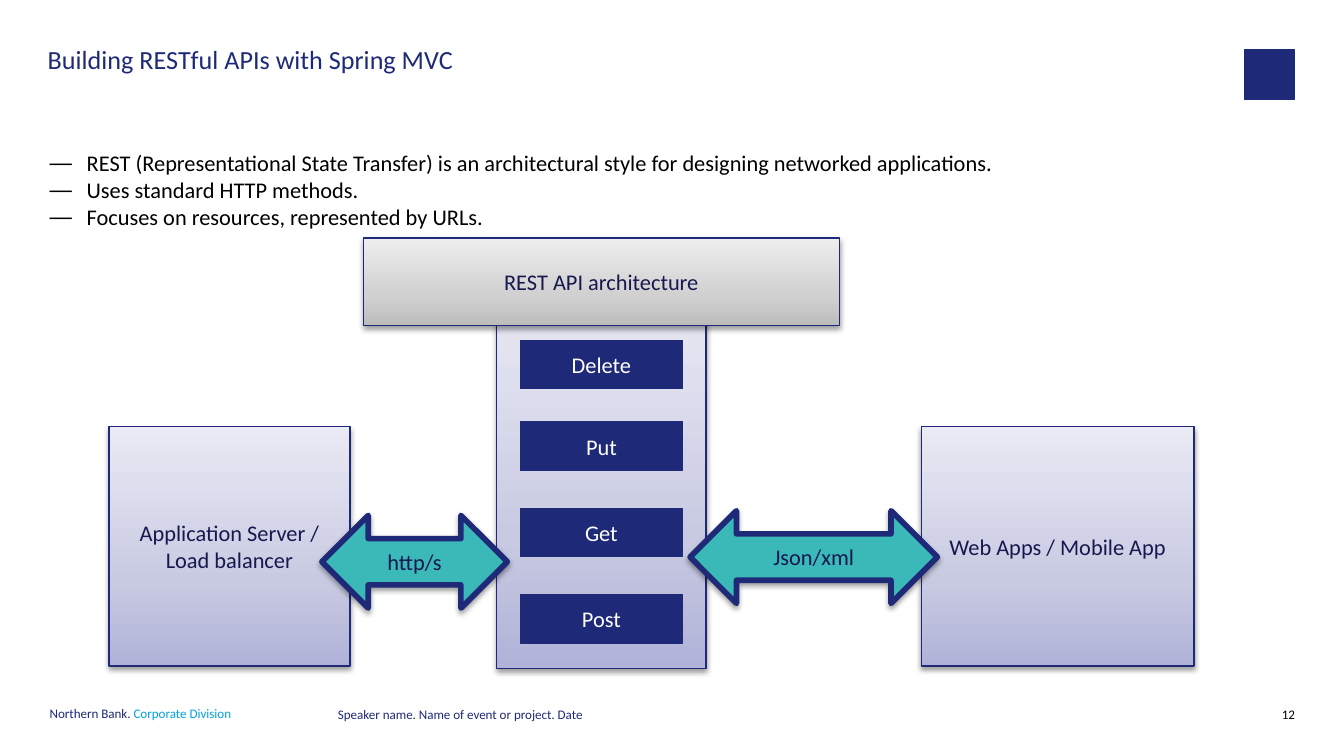
from dataclasses import dataclass

from lxml.etree import SubElement
from pptx import Presentation
from pptx.dml.color import RGBColor
from pptx.enum.shapes import MSO_SHAPE
from pptx.enum.text import MSO_ANCHOR, PP_ALIGN
from pptx.oxml.ns import qn
from pptx.util import Emu, Pt

PX = 4572  # 200 px to the inch
NAVY, INK, TEAL, CYAN = "1E2A78", "16184E", "3BB8B8", "00A3E0"
BLACK, WHITE = "000000", "FFFFFF"
LILAC = ("B0B2D8", "C8CAE2", "EAEAF5")
GREY = ("BDBDBD", "D1D1D1", "EEEEEE")
STOPS = (0, 35, 100)


@dataclass
class Block:
    x: int
    y: int
    w: int
    h: int
    text: str = ""
    fill: str | tuple = LILAC
    color: str = INK
    line: float = 0.75
    shadow: bool = True
    kind: MSO_SHAPE = MSO_SHAPE.RECTANGLE


@dataclass
class Label:
    x: int
    y: int
    w: int
    h: int
    paragraphs: list  # each paragraph is a list of (text, colour) runs
    size: int = 7
    spacing: object = Pt(8)
    align: PP_ALIGN = PP_ALIGN.LEFT
    bullet: str = ""


def px(*values: int) -> list:
    return [Emu(v * PX) for v in values]


def rgb(value: str) -> RGBColor:
    return RGBColor.from_string(value)


def apply(target, values: dict) -> None:
    for name, value in values.items():
        setattr(target, name, value)


def add_run(p, text: str, size: int, color: str) -> None:
    r = p.add_run()
    r.text = text
    apply(r.font, {"size": Pt(size), "name": "Calibri"})
    r.font.color.rgb = rgb(color)


def add_color(parent, value: str):
    return SubElement(parent, qn("a:srgbClr"), val=value)


def set_gradient(sp, colors: tuple) -> None:
    sp.fill.gradient()
    grad = sp._element.spPr.find(qn("a:gradFill"))
    for child in list(grad):
        grad.remove(child)
    stops = SubElement(grad, qn("a:gsLst"))
    for pos, color in zip(STOPS, colors):
        add_color(SubElement(stops, qn("a:gs"), pos=str(pos * 1000)), color)
    SubElement(grad, qn("a:lin"), ang=str(270 * 60000), scaled="0")


def add_shadow(sp) -> None:
    effects = sp._element.spPr.find(qn("a:effectLst"))
    outer = SubElement(effects, qn("a:outerShdw"), blurRad=str(Pt(3.1)),
                       dist=str(Pt(1.6)), dir=str(90 * 60000), rotWithShape="0")
    SubElement(add_color(outer, BLACK), qn("a:alpha"), val="38000")


def add_block(s, b: Block) -> None:
    sp = s.shapes.add_shape(b.kind, *px(b.x, b.y, b.w, b.h))
    if isinstance(b.fill, tuple):
        set_gradient(sp, b.fill)
    else:
        sp.fill.solid()
        sp.fill.fore_color.rgb = rgb(b.fill)
    sp.line.color.rgb = rgb(NAVY)
    sp.line.width = Pt(b.line)
    sp.shadow.inherit = False
    if b.shadow:
        add_shadow(sp)
    if b.text:
        tf = sp.text_frame
        side, edge = px(22, 12)
        apply(tf, {"margin_left": side, "margin_right": side, "margin_top": edge,
                   "margin_bottom": edge, "word_wrap": True,
                   "vertical_anchor": MSO_ANCHOR.MIDDLE})
        p = tf.paragraphs[0]
        p.alignment = PP_ALIGN.CENTER
        add_run(p, b.text, 12, b.color)


def add_label(s, label: Label) -> None:
    tf = s.shapes.add_textbox(*px(label.x, label.y, label.w, label.h)).text_frame
    apply(tf, {"margin_left": 0, "margin_right": 0, "margin_top": 0,
               "margin_bottom": 0, "word_wrap": True})
    for i, runs in enumerate(label.paragraphs):
        p = tf.add_paragraph() if i else tf.paragraphs[0]
        apply(p, {"alignment": label.align, "line_spacing": label.spacing})
        if label.bullet:
            pPr = p._p.get_or_add_pPr()
            pPr.set("marL", str(55 * PX))
            pPr.set("indent", str(-55 * PX))
            SubElement(pPr, qn("a:buFont"), typeface="Arial")
            SubElement(pPr, qn("a:buChar"), char=label.bullet)
        for text, color in runs:
            add_run(p, text, label.size, color)


POINTS = [
    "REST (Representational State Transfer) is an architectural style for "
    "designing networked applications.",
    "Uses standard HTTP methods.",
    "Focuses on resources, represented by URLs.",
]
LABELS = [
    Label(74, 1051, 394, 52, [[("Northern Bank. ", NAVY), ("Corporate Division", CYAN)]]),
    Label(1851, 1053, 76, 52, [[("12", BLACK)]], align=PP_ALIGN.RIGHT),
    Label(71, 70, 1708, 78, [[("Building RESTful APIs with Spring MVC", NAVY)]],
          size=14, spacing=0.9),
    Label(503, 1052, 980, 52, [[("Speaker name. Name of event or project. Date", NAVY)]]),
    Label(74, 222, 1852, 792, [[(point, BLACK)] for point in POINTS],
          size=12, spacing=1.0, bullet="—"),
]
METHODS = {"Delete": 507, "Put": 628, "Get": 757, "Post": 885}
ARROW = {"fill": TEAL, "line": 3, "kind": MSO_SHAPE.LEFT_RIGHT_ARROW}
BLOCKS = [
    # Corner mark
    Block(1852, 74, 74, 74, fill=NAVY, shadow=False),
    # Server, client and the column of methods between them
    Block(162, 635, 359, 356, "Application Server / Load balancer"),
    Block(1371, 635, 406, 356, "Web Apps / Mobile App"),
    Block(739, 435, 312, 560),
    *[Block(774, y, 242, 72, name, NAVY, WHITE, 0.5, False)
      for name, y in METHODS.items()],
    # Data exchange
    Block(1027, 760, 368, 138, "Json/xml", **ARROW),
    Block(479, 767, 276, 138, "http/s", **ARROW),
    # Heading of the diagram
    Block(541, 354, 708, 130, "REST API architecture", GREY),
]


def main() -> None:
    prs = Presentation()
    prs.slide_width, prs.slide_height = px(2000, 1125)
    s = prs.slides.add_slide(prs.slide_layouts[6])
    for label in LABELS:
        add_label(s, label)
    for block in BLOCKS:
        add_block(s, block)
    prs.save("out.pptx")


if __name__ == "__main__":
    main()
